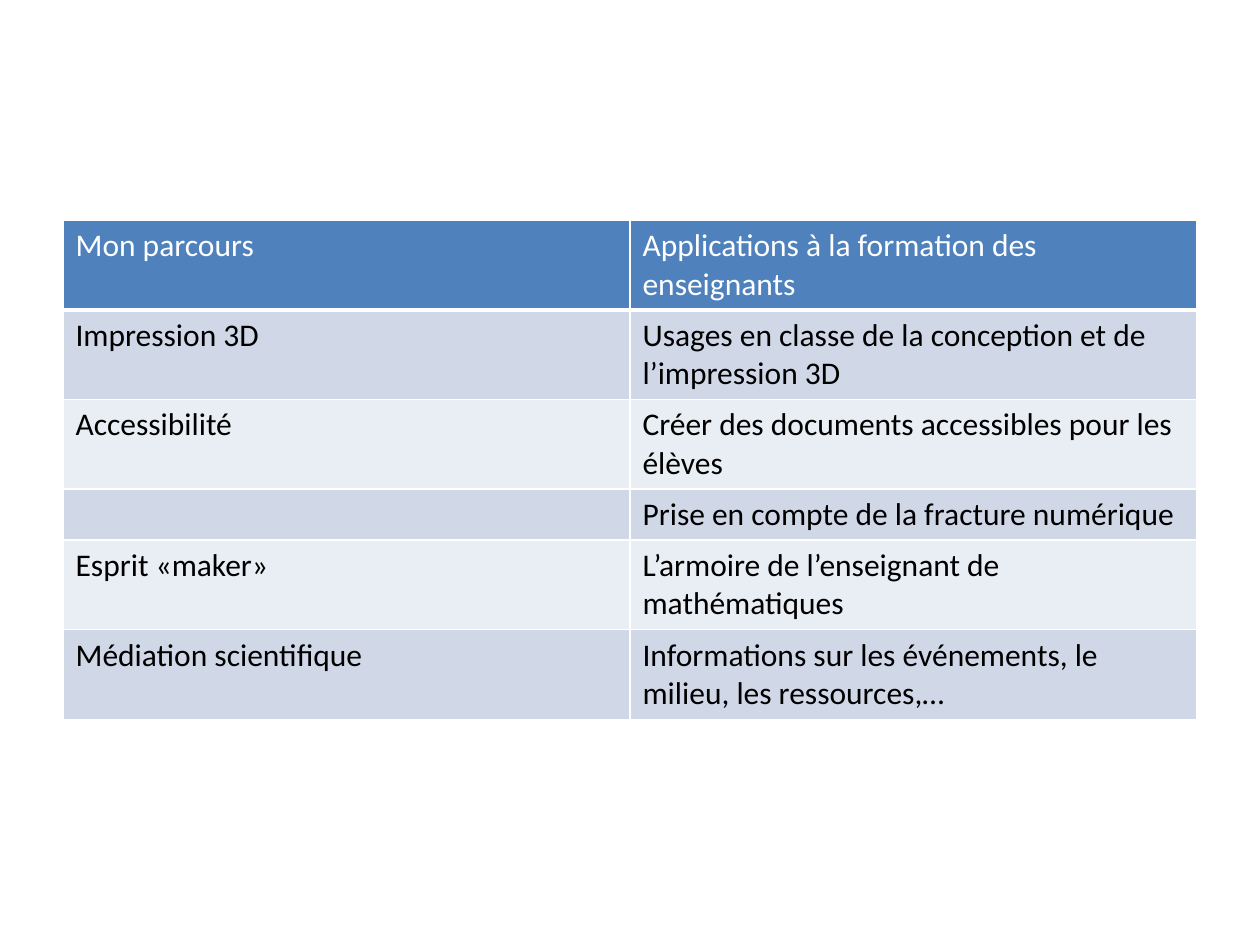
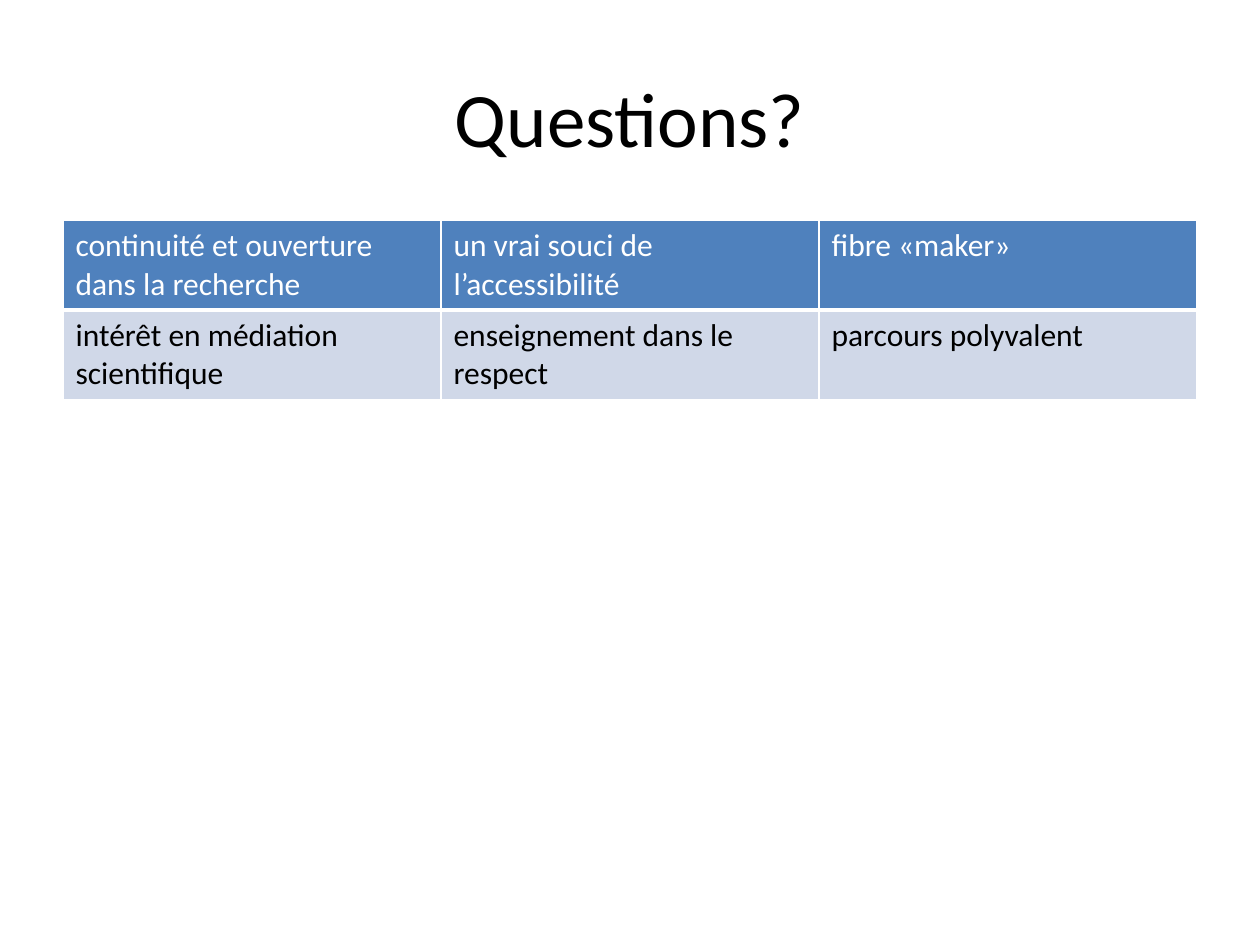
"""Two slides: a career path table and a closing table of questions."""
import dataclasses

import lxml.etree
import pptx
import pptx.dml.color
import pptx.enum.text
import pptx.oxml.ns
import pptx.presentation
import pptx.slide
import pptx.table
import pptx.text.text
import pptx.util

WIDTH, HEIGHT = pptx.util.Inches(10), pptx.util.Inches(7.5)
MARGIN = 0.05
CONTENT_WIDTH = 1 - 2 * MARGIN
TITLE_TOP, TITLE_HEIGHT = 0.04, 1 / 6
TABLE_TOP = 7 / 30
ROW_HEIGHTS = {1: pptx.util.Inches(0.4), 2: pptx.util.Inches(0.71)}

FONT = "Calibri"
BLACK, WHITE = "000000", "FFFFFF"
HEADER_FILL = "4F81BD"
BAND_FILLS = ("E9EDF4", "D0D8E8")
TITLE_SIZE, CELL_SIZE = 44, 18
THIN, THICK = 1, 3


@dataclasses.dataclass(frozen=True)
class Row:
    """Cell texts of a table row and the number of text lines it holds."""

    texts: tuple[str, ...]
    lines: int = 2


@dataclasses.dataclass(frozen=True)
class TableSlide:
    """A slide with a table, headed by its first row, and maybe a title."""

    rows: tuple[Row, ...]
    title: str = ""


SLIDES = (
    TableSlide((
        Row(("Mon parcours", "Applications à la formation des enseignants")),
        Row(("Impression 3D", "Usages en classe de la conception et de l’impression 3D")),
        Row(("Accessibilité", "Créer des documents accessibles pour les élèves")),
        Row(("", "Prise en compte de la fracture numérique"), lines=1),
        Row(("Esprit «maker»", "L’armoire de l’enseignant de mathématiques")),
        Row(("Médiation scientifique",
             "Informations sur les événements, le milieu, les ressources,…")),
    )),
    TableSlide((
        Row(("continuité et ouverture dans la recherche",
             "un vrai souci de l’accessibilité", "fibre «maker»")),
        Row(("intérêt en médiation scientifique",
             "enseignement dans le respect", "parcours polyvalent")),
    ), title="Questions?"),
)


def color(value: str) -> pptx.dml.color.RGBColor:
    """Turn a hex string into a colour."""
    return pptx.dml.color.RGBColor.from_string(value)


def write(paragraph: pptx.text.text._Paragraph, text: str, size: int, ink: str) -> None:
    """Add one formatted run, and size the paragraph even when it is empty."""
    paragraph.font.size = pptx.util.Pt(size)
    if not text:
        return
    run = paragraph.add_run()
    run.text = text
    run.font.name = FONT
    run.font.size = pptx.util.Pt(size)
    run.font.bold = False
    run.font.color.rgb = color(ink)


def add_title(slide: pptx.slide.Slide, text: str) -> None:
    """Draw the centred slide title."""
    title = slide.shapes.add_textbox(
        int(MARGIN * WIDTH), int(TITLE_TOP * HEIGHT),
        int(CONTENT_WIDTH * WIDTH), int(TITLE_HEIGHT * HEIGHT)).text_frame
    title.word_wrap = True
    title.vertical_anchor = pptx.enum.text.MSO_ANCHOR.MIDDLE
    title.paragraphs[0].alignment = pptx.enum.text.PP_ALIGN.CENTER
    write(title.paragraphs[0], text, TITLE_SIZE, BLACK)


def add_borders(cell: pptx.table._Cell, bottom: int) -> None:
    """Outline a cell in white with the given bottom width in points."""
    properties = cell._tc.get_or_add_tcPr()
    qn = pptx.oxml.ns.qn
    for side, width in (("L", THIN), ("R", THIN), ("T", THIN), ("B", bottom)):
        line = lxml.etree.SubElement(
            properties, qn(f"a:ln{side}"), w=str(int(pptx.util.Pt(width))))
        fill = lxml.etree.SubElement(line, qn("a:solidFill"))
        lxml.etree.SubElement(fill, qn("a:srgbClr"), val=WHITE)


def add_table(slide: pptx.slide.Slide, rows: tuple[Row, ...]) -> None:
    """Draw a table with equal columns, a header row and banded body rows."""
    heights = [ROW_HEIGHTS[row.lines] for row in rows]
    table = slide.shapes.add_table(
        len(rows), len(rows[0].texts), int(MARGIN * WIDTH), int(TABLE_TOP * HEIGHT),
        int(CONTENT_WIDTH * WIDTH), sum(heights)).table
    table.horz_banding = False
    for index, (row, height) in enumerate(zip(rows, heights)):
        table.rows[index].height = height
        is_header = index == 0
        for column, text in enumerate(row.texts):
            cell = table.cell(index, column)
            add_borders(cell, THICK if is_header else THIN)
            cell.fill.solid()
            cell.fill.fore_color.rgb = color(
                HEADER_FILL if is_header else BAND_FILLS[index % 2])
            write(cell.text_frame.paragraphs[0], text, CELL_SIZE,
                  WHITE if is_header else BLACK)


def add_slide(deck: pptx.presentation.Presentation, content: TableSlide) -> None:
    """Add one slide with its title, if any, and its table."""
    slide = deck.slides.add_slide(deck.slide_layouts[6])
    if content.title:
        add_title(slide, content.title)
    add_table(slide, content.rows)


def main() -> None:
    """Build and save the presentation."""
    deck = pptx.Presentation()
    deck.slide_width, deck.slide_height = WIDTH, HEIGHT
    for content in SLIDES:
        add_slide(deck, content)
    deck.save("out.pptx")


if __name__ == "__main__":
    main()
